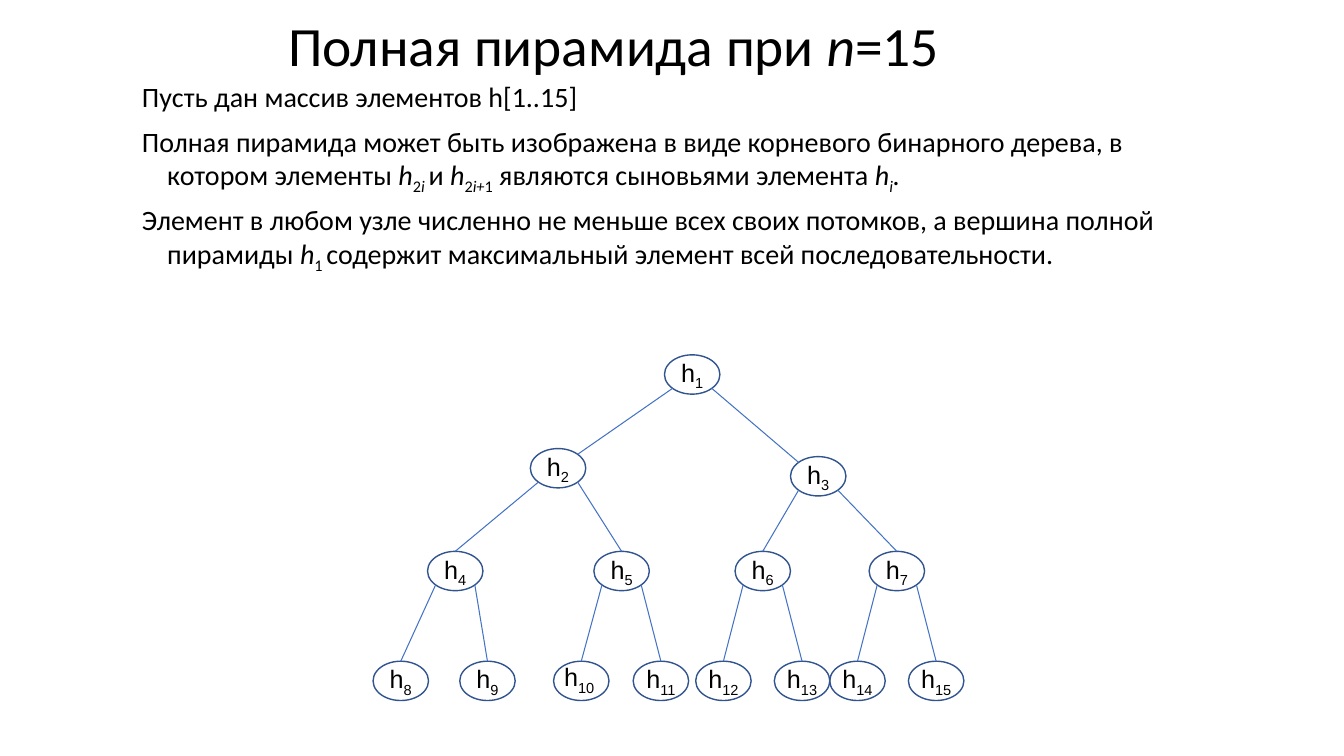
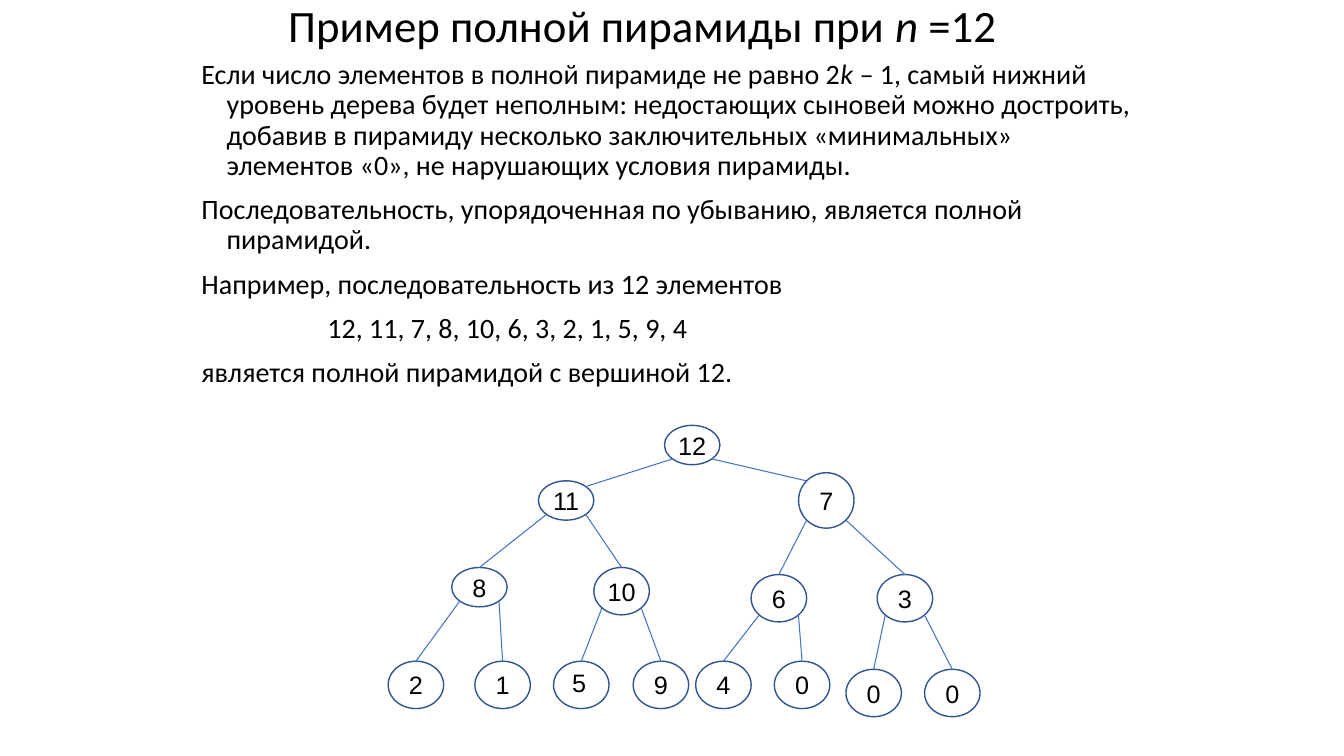
import math

import pptx
import pptx.dml.color
import pptx.enum.shapes
import pptx.enum.text
import pptx.oxml.ns
import pptx.util
from lxml import etree

Inches, Pt = pptx.util.Inches, pptx.util.Pt
RGBColor = pptx.dml.color.RGBColor

INK = RGBColor(0x00, 0x00, 0x00)
NODE_LINE = RGBColor(0x31, 0x53, 0x8F)
EDGE_LINE = RGBColor(0x44, 0x72, 0xC4)
TEXT_FONT, NODE_FONT = "Calibri", "Arial"
SLIDE_SIZE = (13.33, 7.5)
NODE_WIDTH = 0.55
HANGING = (0.25, -0.25)
INDENTED = (1.25, 0)
PLAIN, ITALIC, SUB, SUB_ITALIC = "", "i", "_", "i_"

# Connection sites of an ellipse, counter-clockwise from the top
TOP, TOP_LEFT, BOTTOM_LEFT, BOTTOM_RIGHT, TOP_RIGHT = 0, 1, 3, 5, 7

# Runs are (text, style); paragraphs are (indents, runs).
# Tree nodes are (left, top, height), in heap order: the sons of i are 2i and 2i+1.
FULL_HEAP = {
    "title": [("Полная пирамида при ", PLAIN), ("n", ITALIC), ("=15", PLAIN)],
    "title_box": (2.76, 0.16, 8.6, 0.64),
    "title_size": 39.6,
    "body_box": (1.31, 0.78, 10.35, 2.19),
    "body": [
        (HANGING, [("Пусть дан массив элементов h[1..15]", PLAIN)]),
        (HANGING, [
            ("Полная пирамида может быть изображена в виде корневого бинарного "
             "дерева, в котором элементы ", PLAIN),
            ("h", ITALIC), ("2", SUB), ("i ", SUB_ITALIC), ("и ", PLAIN),
            ("h", ITALIC), ("2", SUB), ("i+", SUB_ITALIC), ("1", SUB),
            (" являются сыновьями элемента ", PLAIN),
            ("h", ITALIC), ("i", SUB_ITALIC), (".", ITALIC)]),
        (HANGING, [
            ("Элемент в любом узле численно не меньше всех своих потомков, "
             "а вершина полной пирамиды ", PLAIN),
            ("h", ITALIC), ("1 ", SUB),
            ("содержит максимальный элемент всей последовательности.", PLAIN)]),
    ],
    "labels": [[("h", PLAIN), (str(i), SUB)] for i in range(1, 16)],
    "nodes": [
        (6.59, 3.52, 0.39),
        (5.26, 4.45, 0.39), (7.84, 4.53, 0.39),
        *[(left, 5.47, 0.39) for left in (4.24, 5.89, 7.29, 8.62)],
        *[(left, 6.56, 0.39)
          for left in (3.7, 4.56, 5.49, 6.28, 6.9, 7.68, 8.23, 9.01)],
    ],
}

PADDED_HEAP = {
    "title": [("Пример полной пирамиды при ", PLAIN), ("n ", ITALIC), ("=12", PLAIN)],
    "title_box": (2.76, 0, 8.68, 0.56),
    "title_size": 32,
    "body_box": (1.9, 0.55, 9.54, 3.75),
    "body": [
        (HANGING, [
            ("Если число элементов в полной пирамиде не равно 2", PLAIN),
            ("k – ", ITALIC),
            ("1, самый нижний уровень дерева будет неполным: недостающих сыновей "
             "можно достроить, добавив в пирамиду несколько заключительных "
             "«минимальных» элементов «0», не нарушающих условия пирамиды.", PLAIN)]),
        (HANGING, [("Последовательность, упорядоченная по убыванию, "
                    "является полной пирамидой.", PLAIN)]),
        (HANGING, [("Например, последовательность из 12 элементов", PLAIN)]),
        (INDENTED, [("12, 11, 7, 8, 10, 6, 3, 2, 1, 5, 9, 4", PLAIN)]),
        (HANGING, [("является полной пирамидой с вершиной 12.", PLAIN)]),
    ],
    "labels": [[(str(value), PLAIN)] for value in
               (12, 11, 7, 8, 10, 6, 3, 2, 1, 5, 9, 4, 0, 0, 0)],
    "nodes": [
        (6.59, 4.22, 0.39),
        (5.34, 4.77, 0.39), (7.92, 4.69, 0.55),
        (4.48, 5.63, 0.39), (5.89, 5.63, 0.47), (7.45, 5.7, 0.47), (8.7, 5.7, 0.47),
        *[(left, 6.56, 0.47) for left in (3.85, 4.71, 5.49, 6.28, 6.9, 7.68)],
        *[(left, 6.64, 0.47) for left in (8.39, 9.17)],
    ],
}


def write_runs(paragraph, runs, font, size):
    paragraph.font.name = font
    paragraph.font.size = Pt(size)
    paragraph.font.color.rgb = INK
    for text, style in runs:
        run = paragraph.add_run()
        run.text = text
        if "i" in style:
            run.font.italic = True
        if "_" in style:
            run.font._element.set("baseline", "-25000")


def add_text(slide, box, paragraphs, size, anchor):
    frame = slide.shapes.add_textbox(*map(Inches, box)).text_frame
    frame.word_wrap = True
    frame.vertical_anchor = anchor
    for number, ((margin, indent), runs) in enumerate(paragraphs):
        paragraph = frame.add_paragraph() if number else frame.paragraphs[0]
        paragraph.line_spacing = 0.9
        paragraph.space_before = Pt(10 if number else 0)
        properties = paragraph._p.get_or_add_pPr()
        properties.set("marL", str(Inches(margin)))
        properties.set("indent", str(Inches(indent)))
        write_runs(paragraph, runs, TEXT_FONT, size)


def add_node(slide, place, label, insets):
    left, top, height = place
    node = slide.shapes.add_shape(
        pptx.enum.shapes.MSO_SHAPE.OVAL,
        *map(Inches, (left, top, NODE_WIDTH, height)))
    node.shadow.inherit = False
    node.fill.background()
    node.line.color.rgb = NODE_LINE
    node.line.width = Pt(1)
    frame = node.text_frame
    frame.word_wrap = True
    frame.vertical_anchor = pptx.enum.text.MSO_ANCHOR.MIDDLE
    (frame.margin_left, frame.margin_top,
     frame.margin_right, frame.margin_bottom) = map(Inches, insets)
    paragraph = frame.paragraphs[0]
    paragraph.alignment = pptx.enum.text.PP_ALIGN.CENTER
    write_runs(paragraph, label, NODE_FONT, 18)
    return node


def site_point(node, site):
    """Point on the ellipse at a site; sites are 45 degrees apart."""
    angle = math.radians(90 + 45 * site)
    return (round(node.left + node.width / 2 * (1 + math.cos(angle))),
            round(node.top + node.height / 2 * (1 - math.sin(angle))))


def add_edge(slide, parent, parent_site, son, son_site):
    edge = slide.shapes.add_connector(
        pptx.enum.shapes.MSO_CONNECTOR.STRAIGHT,
        *site_point(parent, parent_site), *site_point(son, son_site))
    edge.line.color.rgb = EDGE_LINE
    edge.line.width = Pt(0.75)
    etree.SubElement(edge._element.spPr, pptx.oxml.ns.qn("a:effectLst"))
    # begin_connect knows four sites only, an ellipse has eight
    links = edge._element.nvCxnSpPr.cNvCxnSpPr
    for link, node, site in ((links.get_or_add_stCxn(), parent, parent_site),
                             (links.get_or_add_endCxn(), son, son_site)):
        link.id, link.idx = node.shape_id, site


def add_tree(slide, places, labels):
    nodes = {}
    for i, (place, label) in enumerate(zip(places, labels), start=1):
        insets = (0, 0, 0.04, 0.04) if i == 10 else (0, 0.04, 0, 0.04)
        nodes[i] = add_node(slide, place, label, insets)
    for i in range(2, len(nodes) + 1):
        is_right = i % 2
        parent_site = BOTTOM_RIGHT if is_right else BOTTOM_LEFT
        upper_site = TOP_LEFT if is_right else TOP_RIGHT
        add_edge(slide, nodes[i // 2], parent_site,
                 nodes[i], upper_site if i <= 3 else TOP)


def main():
    deck = pptx.Presentation()
    deck.slide_width, deck.slide_height = map(Inches, SLIDE_SIZE)
    anchors = pptx.enum.text.MSO_ANCHOR
    for heap in (FULL_HEAP, PADDED_HEAP):
        slide = deck.slides.add_slide(deck.slide_layouts[6])
        add_text(slide, heap["title_box"], [((0, 0), heap["title"])],
                 heap["title_size"], anchors.MIDDLE)
        add_text(slide, heap["body_box"], heap["body"], 20, anchors.TOP)
        add_tree(slide, heap["nodes"], heap["labels"])
    deck.save("out.pptx")


if __name__ == "__main__":
    main()
